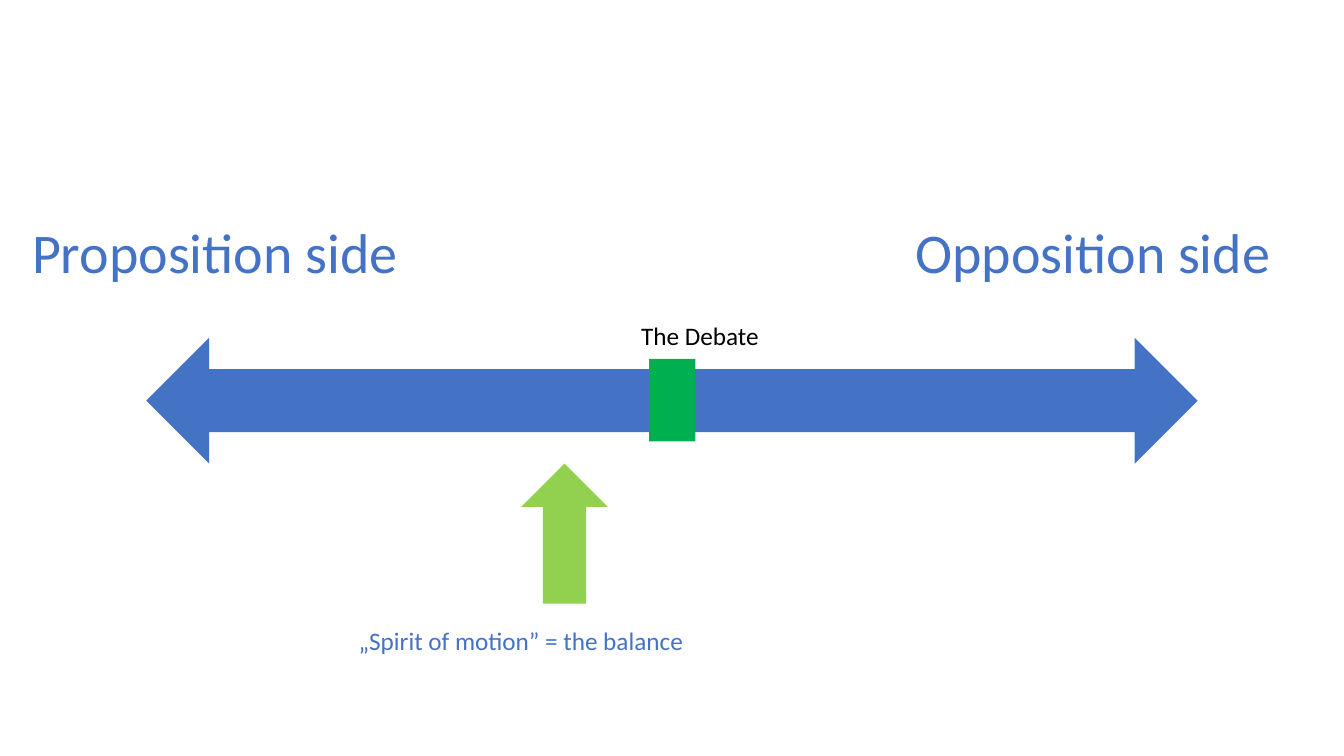
from dataclasses import dataclass

from pptx import Presentation
from pptx.dml.color import RGBColor
from pptx.enum.shapes import MSO_SHAPE
from pptx.enum.text import MSO_AUTO_SIZE
from pptx.util import Inches, Pt

COLORS = {
    "blue": "4472C4",
    "lime": "92D050",
    "green": "00B050",
    "black": "000000",
}
FONT = "Calibri"


@dataclass
class Box:
    left: float
    top: float
    width: float
    height: float

    def inner(self, x, y, w, h):
        """Return the box inside this one, given in percent of its size."""
        return Box(
            self.left + self.width * x / 100,
            self.top + self.height * y / 100,
            self.width * w / 100,
            self.height * h / 100,
        )

    def emu(self):
        return [Inches(v) for v in (self.left, self.top, self.width, self.height)]


def add_text(slide, box, text, size=18, color="blue"):
    frame = slide.shapes.add_textbox(*box.emu()).text_frame
    frame.word_wrap = True
    frame.auto_size = MSO_AUTO_SIZE.SHAPE_TO_FIT_TEXT
    run = frame.paragraphs[0].add_run()
    run.text = text
    run.font.name = FONT
    run.font.size = Pt(size)
    run.font.color.rgb = RGBColor.from_string(COLORS[color])


def add_solid(slide, box, kind, color):
    solid = slide.shapes.add_shape(kind, *box.emu())
    solid.shadow.inherit = False
    solid.fill.solid()
    solid.fill.fore_color.rgb = RGBColor.from_string(COLORS[color])
    solid.line.fill.background()


def add_sides(slide, box):
    add_text(slide, box.inner(0, 0, 31.58, 100), "Proposition side", size=40)
    add_text(slide, box.inner(66.82, 0, 33.18, 100), "Opposition side", size=40)


def add_debate_scale(slide, box):
    add_solid(slide, box.inner(0, 15, 100, 85), MSO_SHAPE.LEFT_RIGHT_ARROW, "blue")
    add_solid(slide, box.inner(47.84, 29.25, 4.41, 55.78), MSO_SHAPE.RECTANGLE, "green")
    add_text(slide, box.inner(46.12, 0, 18.98, 27.21), "The Debate", color="black")


def add_balance(slide, box):
    add_solid(slide, box.inner(33.27, 0, 16.73, 71.28), MSO_SHAPE.UP_ARROW, "lime")
    add_text(slide, box.inner(0, 79.49, 100, 20.51), "„Spirit of motion” = the balance")


def main():
    deck = Presentation()
    page = Box(0, 0, 13.33, 7.5)
    deck.slide_width, deck.slide_height = page.emu()[2:]
    slide = deck.slides.add_slide(deck.slide_layouts[6])
    add_sides(slide, page.inner(1.65, 28.13, 98.35, 10.27))
    add_debate_scale(slide, page.inner(10.88, 41.73, 78.23, 19.6))
    add_balance(slide, page.inner(25.95, 61.33, 38.55, 26))
    deck.save("out.pptx")


if __name__ == "__main__":
    main()
